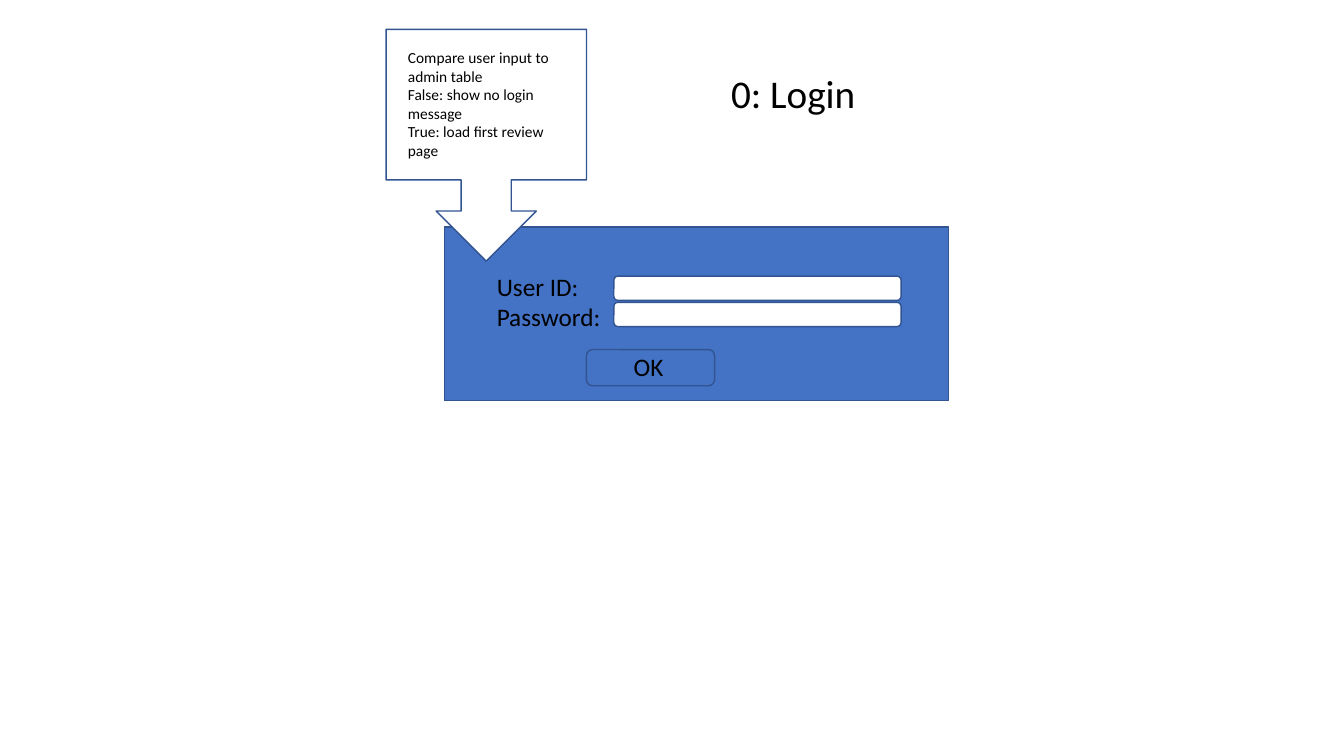
import pptx
import pptx.util
import pptx.dml.color
import pptx.enum.shapes
import pptx.enum.text

Cm, Pt = pptx.util.Cm, pptx.util.Pt
RGBColor = pptx.dml.color.RGBColor
SHAPE = pptx.enum.shapes.MSO_SHAPE
TEXT = pptx.enum.text

BLACK = RGBColor(0x00, 0x00, 0x00)
WHITE = RGBColor(0xFF, 0xFF, 0xFF)
BLUE = RGBColor(0x44, 0x72, 0xC4)
OUTLINE = RGBColor(0x32, 0x54, 0x91)

# Content; every box is left, top, width, height in centimetres
HEADING = "0: Login"
HEADING_BOX = (7.29, 1.35, 25.4, 1.73)
FIELDS = ["User ID:", "Password:"]
FIELDS_BOX = (12.27, 6.7, 11.94, 1.8)
RULES = [
    "Compare user input to admin table",
    "False: show no login message",
    "True: load first review page",
]
RULES_BOX = (10.03, 1.09, 4.42, 3.07)
CONFIRM = ["OK"]
CONFIRM_BOX = (15.72, 8.74, 2.69, 1.02)
PANEL_BOX = (11.2, 5.72, 12.7, 4.37)
CALLOUT_BOX = (9.73, 0.74, 5.05, 5.84)
BUTTON_BOX = (14.78, 8.81, 3.23, 0.91)
INPUT_BOX = (15.47, 6.96, 7.24, 0.61)
INPUT_PITCH = 0.66


def lengths(box):
    """Turn a box in centimetres into slide lengths."""
    return [Cm(value) for value in box]


def format_paragraph(paragraph, size):
    """Give a paragraph the slide's font at a size in points."""
    for name, value in {"name": "Calibri", "size": Pt(size), "bold": False}.items():
        setattr(paragraph.font, name, value)
    paragraph.font.color.rgb = BLACK


def add_outlined(slide, kind, box, fill):
    """Add a filled shape with the common outline."""
    outlined = slide.shapes.add_shape(kind, *lengths(box))
    outlined.shadow.inherit = False
    outlined.fill.solid()
    outlined.fill.fore_color.rgb = fill
    outlined.line.color.rgb = OUTLINE
    outlined.line.width = Pt(1)


def add_lines(slide, lines, box, size):
    """Add a wrapped text box with one paragraph per line."""
    frame = slide.shapes.add_textbox(*lengths(box)).text_frame
    frame.word_wrap = True
    frame.auto_size = TEXT.MSO_AUTO_SIZE.SHAPE_TO_FIT_TEXT
    frame.text = "\n".join(lines)
    for paragraph in frame.paragraphs:
        format_paragraph(paragraph, size)


def add_heading(slide):
    """Place and format the title placeholder."""
    heading = slide.shapes.title
    for name, value in zip(("left", "top", "width", "height"), lengths(HEADING_BOX)):
        setattr(heading, name, value)
    frame = heading.text_frame
    frame.text = HEADING
    frame_format = {
        "vertical_anchor": TEXT.MSO_ANCHOR.BOTTOM,
        "auto_size": TEXT.MSO_AUTO_SIZE.NONE,
        "word_wrap": True,
    }
    for name, value in frame_format.items():
        setattr(frame, name, value)
    paragraph = frame.paragraphs[0]
    paragraph.alignment = TEXT.PP_ALIGN.CENTER
    paragraph.line_spacing = 0.9
    format_paragraph(paragraph, 28)


deck = pptx.Presentation()
deck.slide_width, deck.slide_height = Cm(33.87), Cm(19.05)
login = deck.slides.add_slide(deck.slide_layouts.get_by_name("Title Only"))

add_heading(login)
add_outlined(login, SHAPE.RECTANGLE, PANEL_BOX, BLUE)
add_lines(login, FIELDS, FIELDS_BOX, 18)
add_outlined(login, SHAPE.DOWN_ARROW_CALLOUT, CALLOUT_BOX, WHITE)
add_lines(login, RULES, RULES_BOX, 11)
left, top, width, height = INPUT_BOX
for row in range(len(FIELDS)):
    input_box = (left, top + row * INPUT_PITCH, width, height)
    add_outlined(login, SHAPE.ROUNDED_RECTANGLE, input_box, WHITE)
add_outlined(login, SHAPE.ROUNDED_RECTANGLE, BUTTON_BOX, BLUE)
add_lines(login, CONFIRM, CONFIRM_BOX, 18)

deck.save("out.pptx")
